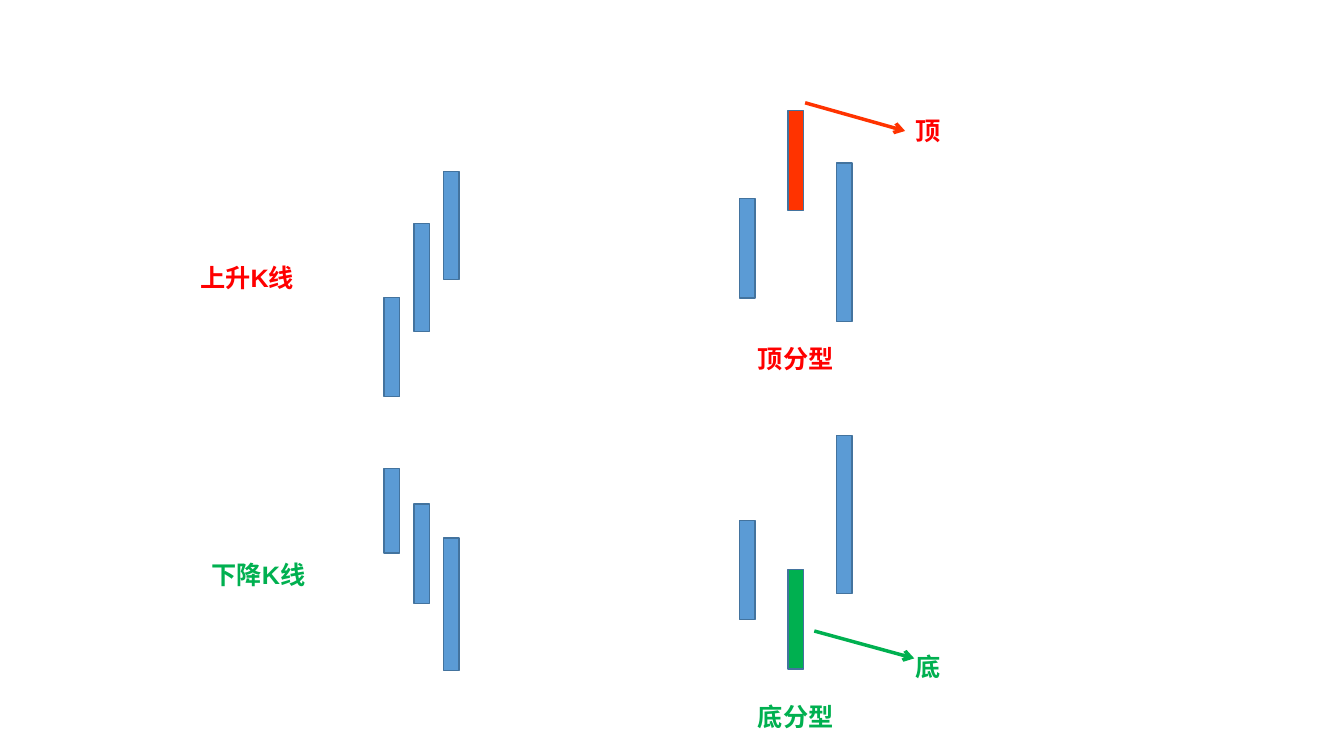
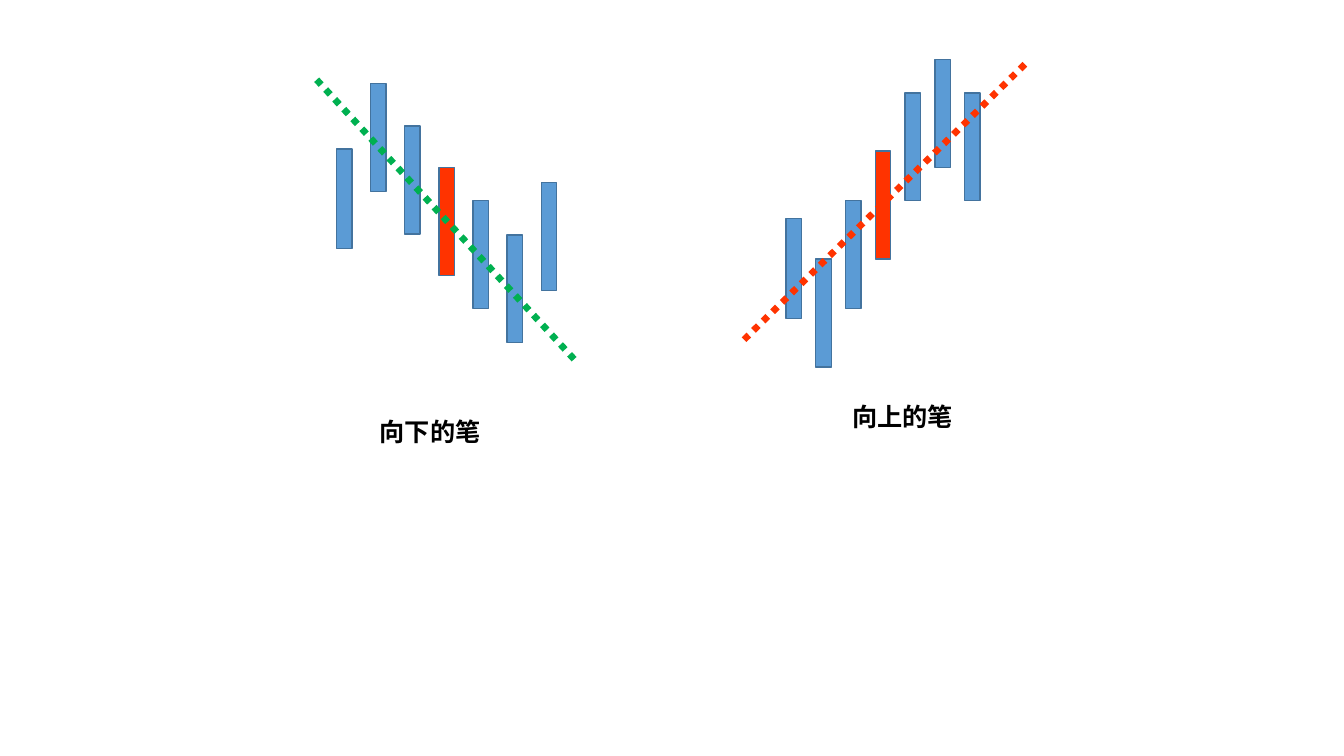
"""Build two slides that explain candlestick fractals and strokes."""
from lxml import etree
from pptx import Presentation
from pptx.dml.color import RGBColor
from pptx.enum import dml, shapes, text
from pptx.oxml import ns
from pptx.util import Cm, Pt

BLUE, EDGE, ORANGE, RED, GREEN, BLACK = (
    "5B9BD5", "43739E", "FF3300", "FF0000", "00B050", "000000")
BAR_WIDTH, LABEL_HEIGHT = 0.39, 1.02
WIDE, MEDIUM, NARROW = 3.45, 2.41, 1.14

# Candles: first left, step, (top, height) of each bar, {index: accent colour}
# Labels: wording, left, top, width, colour
# Lines: start, end, colour
SLIDES = [
    {
        "candles": [
            (9.68, 0.75, [(7.49, 2.51), (5.64, 2.72), (4.32, 2.72)], {}),
            (9.68, 0.75, [(11.81, 2.13), (12.7, 2.51), (13.56, 3.33)], {}),
            (18.64, 1.22, [(5, 2.51), (2.79, 2.51), (4.11, 3.99)], {1: ORANGE}),
            (18.64, 1.22, [(13.11, 2.51), (14.35, 2.51), (10.97, 3.99)], {1: GREEN}),
        ],
        "labels": [
            ("上升K线", 4.8, 6.48, WIDE, RED),
            ("下降K线", 5.08, 13.97, WIDE, GREEN),
            ("顶分型", 18.85, 8.53, MEDIUM, RED),
            ("底分型", 18.85, 17.55, MEDIUM, GREEN),
            ("顶", 22.81, 2.79, NARROW, RED),
            ("底", 22.81, 16.28, NARROW, GREEN),
        ],
        "arrows": [
            ((20.29, 2.59), (22.81, 3.3), ORANGE),
            ((20.52, 15.9), (23.04, 16.59), GREEN),
        ],
        "trends": [],
    },
    {
        "candles": [
            (8.48, 0.86, [(3.76, 2.51), (2.11, 2.72), (3.18, 2.72), (4.22, 2.72),
                          (5.05, 2.72), (5.92, 2.72), (4.6, 2.72)], {3: ORANGE}),
            (19.81, 0.75, [(5.51, 2.51), (6.53, 2.72), (5.05, 2.72), (3.81, 2.72),
                           (2.34, 2.72), (1.5, 2.72), (2.34, 2.72)], {3: ORANGE}),
        ],
        "labels": [
            ("向下的笔", 9.32, 10.36, WIDE, BLACK),
            ("向上的笔", 21.23, 9.98, WIDE, BLACK),
        ],
        "arrows": [],
        "trends": [
            ((7.98, 2.01), (14.53, 9.12), GREEN),
            ((18.75, 8.56), (25.88, 1.57), ORANGE),
        ],
    },
]


def paint(color_format, value):
    """Set a colour from a hex string."""
    color_format.rgb = RGBColor.from_string(value)


def add_candles(slide, first_left, step, bars, accents):
    """Draw evenly spaced bars, some in an accent colour."""
    for index, (top, height) in enumerate(bars):
        bar = slide.shapes.add_shape(
            shapes.MSO_SHAPE.RECTANGLE, Cm(first_left + index * step), Cm(top),
            Cm(BAR_WIDTH), Cm(height))
        bar.shadow.inherit = False
        bar.fill.solid()
        paint(bar.fill.fore_color, accents.get(index, BLUE))
        paint(bar.line.color, EDGE)
        bar.line.width = Pt(1)


def add_label(slide, wording, left, top, width, color):
    """Write one bold label."""
    box = slide.shapes.add_textbox(Cm(left), Cm(top), Cm(width), Cm(LABEL_HEIGHT))
    frame = box.text_frame
    frame.word_wrap = width == WIDE
    frame.auto_size = text.MSO_AUTO_SIZE.SHAPE_TO_FIT_TEXT
    run = frame.paragraphs[0].add_run()
    run.text = wording
    run.font.name, run.font.size, run.font.bold = "Arial", Pt(18), True
    paint(run.font.color, color)


def add_line(slide, start, end, color, width):
    """Draw a straight line without shadow and return it."""
    line = slide.shapes.add_connector(
        shapes.MSO_CONNECTOR.STRAIGHT, *(Cm(value) for value in start + end))
    paint(line.line.color, color)
    line.line.width = Pt(width)
    etree.SubElement(line.element.spPr, ns.qn("a:effectLst"))
    return line


def add_arrow(slide, start, end, color):
    """Draw a pointer with an open arrowhead at its end."""
    arrow = add_line(slide, start, end, color, 2.5)
    outline = arrow.element.spPr.find(ns.qn("a:ln"))
    etree.SubElement(outline, ns.qn("a:tailEnd"), type="arrow")


def add_trend(slide, start, end, color):
    """Draw a dotted trend line."""
    trend = add_line(slide, start, end, color, 4.75)
    trend.line.dash_style = dml.MSO_LINE.ROUND_DOT


def main():
    """Build and save the presentation."""
    presentation = Presentation()
    presentation.slide_width, presentation.slide_height = Cm(33.87), Cm(19.05)
    blank_layout = presentation.slide_layouts[6]
    builders = {"candles": add_candles, "labels": add_label,
                "arrows": add_arrow, "trends": add_trend}
    for content in SLIDES:
        slide = presentation.slides.add_slide(blank_layout)
        for kind, build in builders.items():
            for item in content[kind]:
                build(slide, *item)
    presentation.save("out.pptx")


main()
